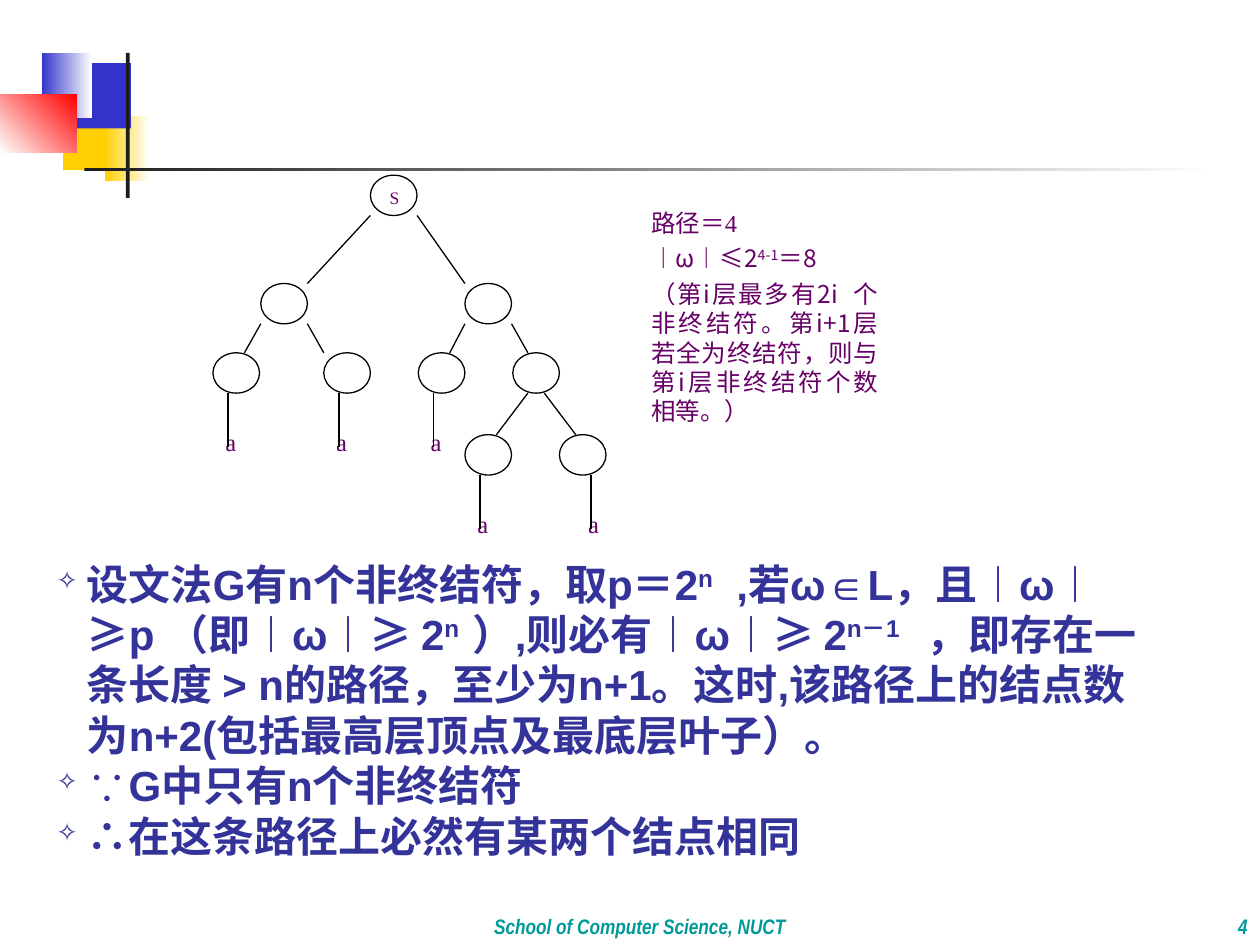
import pptx
import pptx.dml.color
import pptx.enum.shapes
import pptx.enum.text
import pptx.oxml
import pptx.oxml.ns
import pptx.util
from pptx.util import Inches

SHAPE = pptx.enum.shapes.MSO_SHAPE
ALIGN = pptx.enum.text.PP_ALIGN
ANCHOR = pptx.enum.text.MSO_ANCHOR

YELLOW, BLUE, RED, WHITE = "FFCF01", "3333CC", "FF0000", "FFFFFF"
DARK, BLACK, TEAL, NAVY, PURPLE = "1C1C1C", "000000", "009999", "333399", "660066"
SERIF, SANS, NARROW, CJK = "Times New Roman", "Arial", "Arial Narrow", "Noto Sans CJK SC"

# left, top, width, height, gradient start (or solid fill), gradient end, angle
DECORATION = [
    (0.5, 0.83, 0.48, 0.52, YELLOW, None, 0),
    (0.83, 0.92, 0.36, 0.52, YELLOW, WHITE, 0),
    (0.58, 0.5, 0.46, 0.52, BLUE, None, 0),
    (0.33, 0.42, 0.4, 0.52, BLUE, WHITE, 0),
    (0, 0.75, 0.61, 0.46, WHITE, RED, 45),
    (1, 0.42, 0.03, 1.15, DARK, None, 0),
    (0.67, 1.33, 9, 0.03, DARK, WHITE, 0),
]

NODE_WIDTH, NODE_HEIGHT = 0.37, 0.32
STEM_LENGTH = 0.43
NODES = {
    "root": (2.94, 1.39),
    "left": (2.07, 2.25), "right": (3.69, 2.25),
    "left-left": (1.69, 2.8), "left-right": (2.57, 2.8),
    "right-left": (3.32, 2.8), "right-right": (4.07, 2.8),
    "deep-left": (3.69, 3.45), "deep-right": (4.44, 3.45),
}
# parent, offset along its bottom, child, offset along its top
EDGES = [
    ("root", 0, "left", 0.37), ("root", 0.37, "right", 0),
    ("left", 0, "left-left", 0.25), ("left", 0.37, "left-right", 0),
    ("right", 0, "right-left", 0.25), ("right", 0.37, "right-right", 0.12),
    ("right-right", 0.12, "deep-left", 0.25),
    ("right-right", 0.25, "deep-right", 0.13),
]
# parent of a leaf, offset of the leaf label from it
LEAVES = [("left-left", 0), ("left-right", 0), ("right-left", 0),
          ("deep-left", 0), ("deep-right", 0.13)]

SUPERSCRIPT = {"superscript": True}
SIDE_NOTE = [
    [("路径＝4", {})],
    [("︱", {}), ("ω︱≤2", {"font": CJK}),
     ("4-1", {"font": CJK, "superscript": True}), ("＝8", {"font": CJK})],
    [("（第i层最多有2i  个非终结符。第i+1层若全为终结符，则与第i层非终结符个数相等。）",
      {"font": CJK})],
]
MAIN_POINTS = [
    [("设文法G有n个非终结符，取p＝2", {}), ("n", SUPERSCRIPT),
     ("  ,若ω∈L，且︱ω︱≥p （即︱ω︱≥ 2", {}), ("n  ", SUPERSCRIPT),
     ("）,则必有︱ω︱≥ 2", {}), ("n－1    ", SUPERSCRIPT),
     ("，即存在一条长度 > n的路径，至少为n+1。这时,该路径上的结点数为n+2"
      "(包括最高层顶点及最底层叶子）。", {})],
    [("∵G中只有n个非终结符", {})],
    [("∴在这条路径上必然有某两个结点相同", {})],
]


def color(value):
    return pptx.dml.color.RGBColor.from_string(value)


def add_run(paragraph, text, font, size, fill, bold=False, italic=False, superscript=False):
    run = paragraph.add_run()
    run.text = text
    run.font.name = font
    run.font.size = pptx.util.Pt(size)
    run.font.color.rgb = color(fill)
    run.font.bold = bold
    run.font.italic = italic
    if superscript:
        run.font._element.set("baseline", "30000")


def add_bullet(paragraph, character, fill, indent):
    properties = paragraph._p.get_or_add_pPr()
    properties.set("marL", str(indent))
    properties.set("indent", str(-indent))
    namespace = pptx.oxml.ns.nsdecls("a")
    for xml in (f'<a:buClr {namespace}><a:srgbClr val="{fill}"/></a:buClr>',
                f'<a:buSzPct {namespace} val="60000"/>',
                f'<a:buChar {namespace} char="{character}"/>'):
        properties.append(pptx.oxml.parse_xml(xml))


def write_text(shape, content, align=ALIGN.LEFT, anchor=ANCHOR.TOP, before=0,
               line_spacing=None, bullet=None, **run_format):
    """Fill a shape with a string or with paragraphs of (text, format) runs."""
    frame = shape.text_frame
    frame.word_wrap = True
    frame.vertical_anchor = anchor
    paragraphs = [[(content, {})]] if isinstance(content, str) else content
    for index, runs in enumerate(paragraphs):
        paragraph = frame.add_paragraph() if index else frame.paragraphs[0]
        paragraph.alignment = align
        paragraph.space_before = pptx.util.Pt(before)
        if line_spacing:
            paragraph.line_spacing = line_spacing
        if bullet:
            add_bullet(paragraph, bullet, run_format["fill"], Inches(0.24))
        for text, changes in runs:
            add_run(paragraph, text, **{**run_format, **changes})


def add_text(slide, left, top, width, height, content, **text_format):
    box = slide.shapes.add_textbox(Inches(left), Inches(top), Inches(width), Inches(height))
    write_text(box, content, **text_format)


def add_block(slide, left, top, width, height, start, end, angle):
    block = slide.shapes.add_shape(
        SHAPE.RECTANGLE, Inches(left), Inches(top), Inches(width), Inches(height))
    block.shadow.inherit = False
    block.line.fill.background()
    if end is None:
        block.fill.solid()
        block.fill.fore_color.rgb = color(start)
        return
    block.fill.gradient()
    block.fill.gradient_angle = angle
    for stop, value in zip(block.fill.gradient_stops, (start, end)):
        stop.color.rgb = color(value)


def add_node(slide, left, top):
    node = slide.shapes.add_shape(
        SHAPE.OVAL, Inches(left), Inches(top), Inches(NODE_WIDTH), Inches(NODE_HEIGHT))
    node.shadow.inherit = False
    node.fill.solid()
    node.fill.fore_color.rgb = color(WHITE)
    node.line.color.rgb = color(BLACK)
    node.line.width = pptx.util.Pt(0.75)
    return node


def add_line(slide, x1, y1, x2, y2):
    line = slide.shapes.add_connector(
        pptx.enum.shapes.MSO_CONNECTOR.STRAIGHT,
        Inches(x1), Inches(y1), Inches(x2), Inches(y2))
    line.line.color.rgb = color(BLACK)
    line.line.width = pptx.util.Pt(0.75)
    line._element.spPr.append(
        pptx.oxml.parse_xml(f'<a:effectLst {pptx.oxml.ns.nsdecls("a")}/>'))


def add_tree(slide):
    label = {"font": SERIF, "fill": PURPLE, "align": ALIGN.JUSTIFY}
    for name, (left, top) in NODES.items():
        node = add_node(slide, left, top)
        if name == "root":
            write_text(node, "S", size=10, before=2.5, **label)
    for parent, start, child, end in EDGES:
        (x1, y1), (x2, y2) = NODES[parent], NODES[child]
        add_line(slide, x1 + start, y1 + NODE_HEIGHT, x2 + end, y2)
    for parent, offset in LEAVES:
        left, top = NODES[parent]
        left += offset
        stem_x, stem_top = left + 0.12, top + NODE_HEIGHT
        add_text(slide, left, top + 0.54, NODE_WIDTH, STEM_LENGTH, "a",
                 size=14, before=3.5, **label)
        add_line(slide, stem_x, stem_top, stem_x, stem_top + STEM_LENGTH)


def main():
    presentation = pptx.Presentation()
    presentation.slide_width, presentation.slide_height = Inches(10), Inches(7.5)
    slide = presentation.slides.add_slide(presentation.slide_layouts[6])
    for block in DECORATION:
        add_block(slide, *block)

    footer = {"font": NARROW, "size": 12, "fill": TEAL, "bold": True,
              "italic": True, "anchor": ANCHOR.BOTTOM}
    add_text(slide, 8.33, 7, 1.67, 0.5, "4", align=ALIGN.RIGHT, **footer)
    add_text(slide, 1.58, 7, 7, 0.5, "School of Computer Science, NUCT",
             align=ALIGN.CENTER, line_spacing=1.1, **footer)
    add_text(slide, 0.35, 4.38, 8.85, 2.5, MAIN_POINTS, font=SANS, size=24,
             fill=NAVY, bold=True, bullet="✧")
    add_tree(slide)
    add_text(slide, 5.07, 1.6, 2, 3.03, SIDE_NOTE, font=SERIF, size=14,
             fill=PURPLE, align=ALIGN.JUSTIFY, before=3.5)
    presentation.save("out.pptx")


if __name__ == "__main__":
    main()
